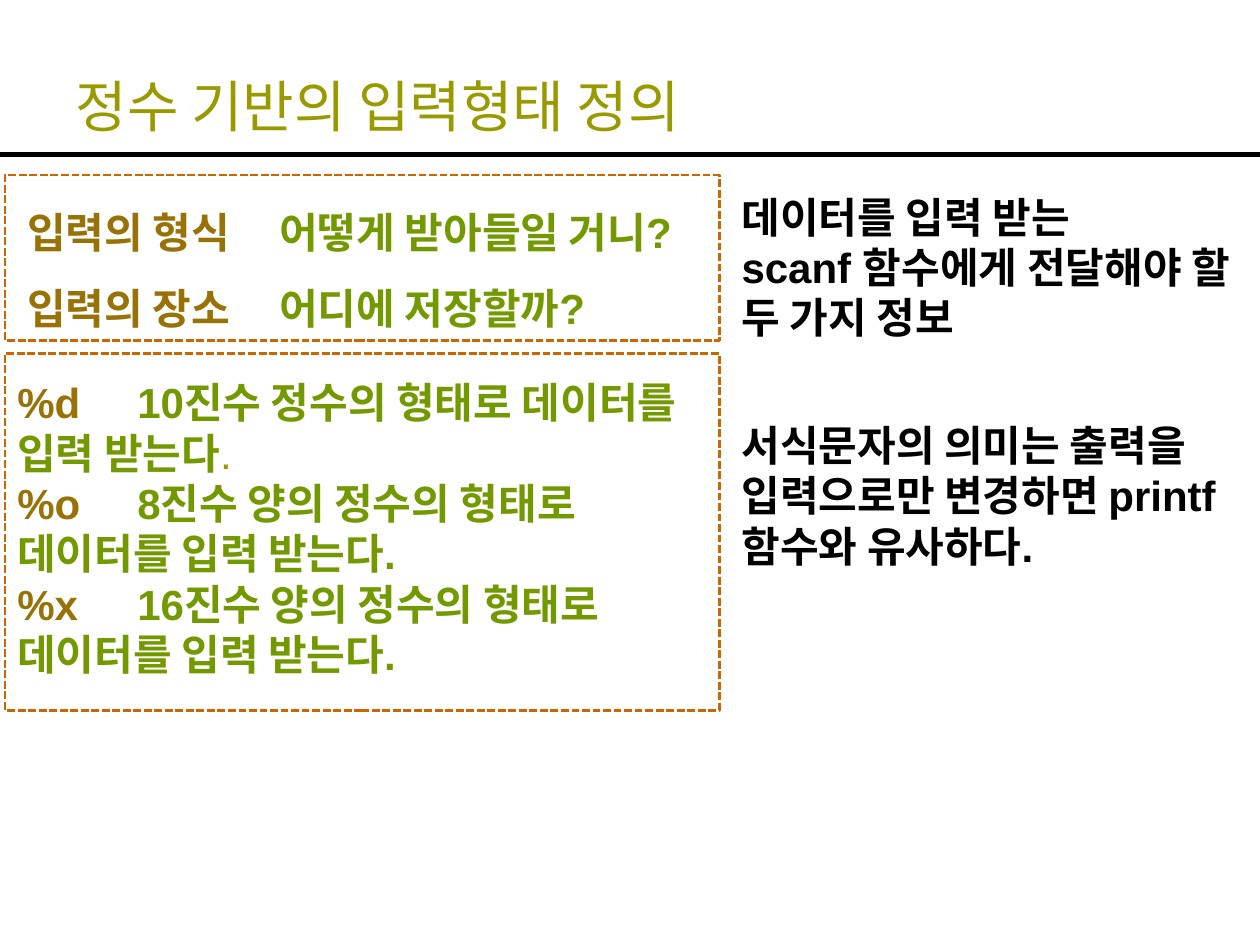
from dataclasses import dataclass

from lxml.etree import SubElement
from pptx import Presentation
from pptx.dml.color import RGBColor as RGB
from pptx.enum.dml import MSO_LINE as DASH
from pptx.enum.shapes import MSO_CONNECTOR as CONN, MSO_SHAPE as SHAPE
from pptx.enum.text import MSO_ANCHOR as ANCHOR, MSO_AUTO_SIZE as FIT, PP_ALIGN as ALIGN
from pptx.oxml.ns import qn
from pptx.util import Cm, Pt


@dataclass(frozen=True)
class Theme:
    title: RGB = RGB(0x99, 0x99, 0x00)
    term: RGB = RGB(0x98, 0x72, 0x06)
    meaning: RGB = RGB(0x73, 0x99, 0x00)
    ink: RGB = RGB(0x00, 0x00, 0x00)
    frame: RGB = RGB(0xCC, 0x66, 0x00)
    title_font: str = "Vollkorn"
    body_font: str = "Arial"
    title_size: int = 32
    body_size: int = 24


def add_text(p, text, *, color, size, font, bold=False):
    r = p.add_run()
    r.text = text
    r.font.name, r.font.size, r.font.bold = font, Pt(size), bold
    r.font.color.rgb = color


def add_tab_stop(p, position):
    tabs = SubElement(p._p.get_or_add_pPr(), qn("a:tabLst"))
    SubElement(tabs, qn("a:tab"), pos=str(Cm(position)), algn="l")


class SlideBuilder:
    """Adds styled elements to one slide; all lengths are in centimetres."""

    def __init__(self, slide, theme):
        self.slide, self.theme = slide, theme

    def title(self, text, box):
        th = self.theme
        sp = self.slide.shapes.title
        sp.left, sp.top, sp.width, sp.height = map(Cm, box)
        tf = sp.text_frame
        tf.auto_size, tf.vertical_anchor = FIT.NONE, ANCHOR.BOTTOM
        p = tf.paragraphs[0]
        p.alignment = ALIGN.LEFT
        add_text(p, text, color=th.title, size=th.title_size, font=th.title_font)

    def rule(self, y, width):
        line = self.slide.shapes.add_connector(
            CONN.STRAIGHT, 0, Cm(y), Cm(width), Cm(y))
        line.line.color.rgb, line.line.width = self.theme.ink, Pt(3)
        SubElement(line._element.spPr, qn("a:effectLst"))

    def frame(self, box):
        sp = self.slide.shapes.add_shape(SHAPE.RECTANGLE, *map(Cm, box))
        sp.shadow.inherit = False
        sp.fill.background()
        sp.line.color.rgb, sp.line.width = self.theme.frame, Pt(1.5)
        sp.line.dash_style = DASH.SQUARE_DOT

    def text(self, paragraphs, box, spacing=1.0, tab=None):
        """Each paragraph is a list of (text, colour, bold) runs."""
        th = self.theme
        tf = self.slide.shapes.add_textbox(*map(Cm, box)).text_frame
        tf.word_wrap, tf.auto_size = True, FIT.SHAPE_TO_FIT_TEXT
        for i, runs in enumerate(paragraphs):
            p = tf.add_paragraph() if i else tf.paragraphs[0]
            p.line_spacing = spacing
            if tab:
                add_tab_stop(p, tab)
            for text, color, bold in runs:
                add_text(p, text, color=color, bold=bold,
                         size=th.body_size, font=th.body_font)

    def definitions(self, rows, box, **layout):
        th = self.theme
        self.text([[(term + "\t", th.term, True), (meaning, th.meaning, True), *extra]
                   for term, meaning, *extra in rows], box, **layout)

    def notes(self, lines, box):
        self.text([[(line, self.theme.ink, True)] for line in lines], box)


def main():
    prs = Presentation()
    prs.slide_width, prs.slide_height = Cm(25.4), Cm(19.05)
    theme = Theme()
    page = SlideBuilder(prs.slides.add_slide(prs.slide_layouts[5]), theme)

    left, width = 0.1, 14.4
    right, right_width = 14.7, 10.7
    top, info_height = 3.53, 3.33

    page.rule(3.12, 25.4)
    page.title("정수 기반의 입력형태 정의", (1.27, 0.76, 22.86, 2.16))

    page.definitions([("입력의 형식", "어떻게 받아들일 거니?"),
                      ("입력의 장소", "어디에 저장할까?")],
                     (0.3, top, width, info_height), spacing=1.5, tab=5.08)
    page.frame((left, top, width, info_height))
    page.notes(["데이터를 입력 받는", "scanf 함수에게 전달해야 할 두 가지 정보"],
               (right, 3.73, right_width, info_height))

    page.definitions([("%d", "10진수 정수의 형태로 데이터를 입력 받는다",
                       (".", theme.title, False)),
                      ("%o", "8진수 양의 정수의 형태로 데이터를 입력 받는다."),
                      ("%x", "16진수 양의 정수의 형태로 데이터를 입력 받는다.")],
                     (left, 7.47, width, 6.4), tab=2.42)
    page.frame((left, 7.13, width, 7.19))
    page.notes(["서식문자의 의미는 출력을 입력으로만 변경하면 printf 함수와 유사하다."],
               (right, 8.33, right_width, info_height))

    prs.save("out.pptx")


if __name__ == "__main__":
    main()
